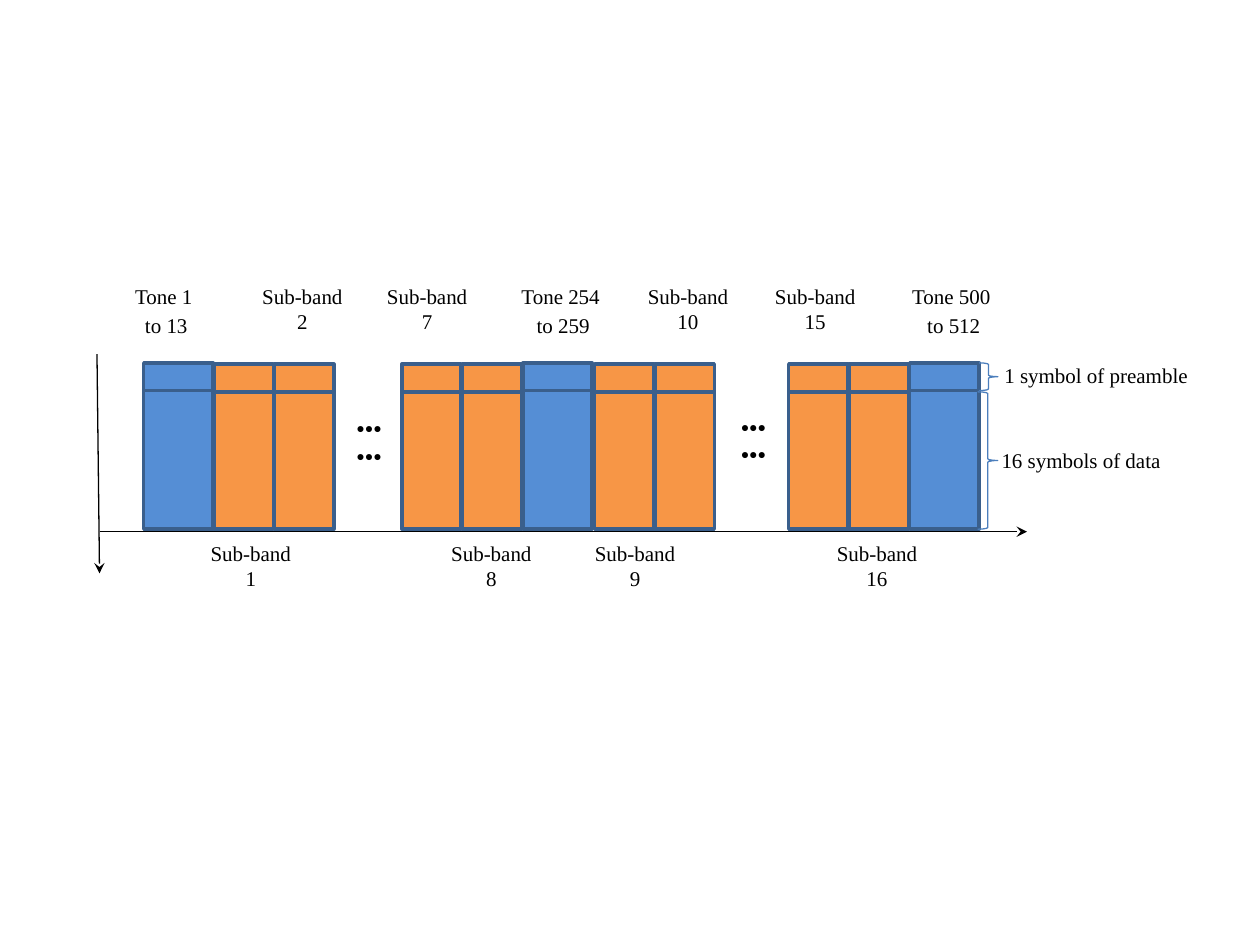
from pptx import Presentation
from pptx.dml.color import RGBColor
from pptx.enum.shapes import MSO_CONNECTOR, MSO_SHAPE
from pptx.enum.text import PP_ALIGN
from pptx.oxml.ns import qn
from pptx.util import Inches, Pt
from lxml.etree import SubElement

FONT = "Times New Roman"
BLACK, OUTLINE, BRACE = "000000", "3A5F8C", "4B7EBC"

# kind: fill, width, pitch, preamble top, data top, bottom
COLUMN_KINDS = {
    "tone": ("558ED5", 0.55, 0.56, 2.88, 3.1, 4.2),
    "band": ("F79646", 0.47, 0.48, 2.89, 3.11, 4.2),
}
GROUPS = [
    (1.14, ["tone", "band", "band"]),
    (3.19, ["band", "band", "tone"]),
    (4.72, ["band", "band"]),
    (6.26, ["band", "band", "tone"]),
]

# centre, lines
TONE_LABELS = [
    (1.3, ["Tone 1", "to 13"]),
    (4.45, ["Tone 254", "to 259"]),
    (7.55, ["Tone 500", "to 512"]),
]
# centre, number
UPPER_BANDS = [(2.4, 2), (3.39, 7), (5.46, 10), (6.47, 15)]
LOWER_BANDS = [(1.99, 1), (3.9, 8), (5.04, 9), (6.96, 16)]
# centre, top of the upper row
DOTS = [(2.93, 3.28), (5.98, 3.27)]
DOT_ROW_GAP = 0.22
# centre, top, text
BRACE_LABELS = [(8.7, 2.83, "1 symbol of preamble"), (8.58, 3.5, "16 symbols of data")]
# left, top, width, height
BRACES = [(7.76, 3.11, 0.16, 1.09), (7.77, 2.88, 0.15, 0.22)]
# start, end
AXES = [((0.79, 4.22), (8.15, 4.22)), ((0.77, 2.81), (0.79, 4.55))]


def color(value):
    return RGBColor.from_string(value)


def add_axis(slide, start, end):
    points = [Inches(value) for value in (*start, *end)]
    axis = slide.shapes.add_connector(MSO_CONNECTOR.STRAIGHT, *points)
    axis.line.color.rgb = color(BLACK)
    axis.line.width = Pt(0.75)
    SubElement(axis.line._get_or_add_ln(), qn("a:tailEnd"), type="stealth")
    SubElement(axis._element.spPr, qn("a:effectLst"))


def add_shape(slide, preset, frame, line, line_width, fill=None):
    shape = slide.shapes.add_shape(preset, *[Inches(value) for value in frame])
    shape.shadow.inherit = False
    shape.line.color.rgb = color(line)
    shape.line.width = Pt(line_width)
    if fill:
        shape.fill.solid()
        shape.fill.fore_color.rgb = color(fill)
    else:
        shape.fill.background()


def add_label(slide, center, top, width, height, lines, size=12):
    box = slide.shapes.add_textbox(
        Inches(center - width / 2), Inches(top), Inches(width), Inches(height))
    frame = box.text_frame
    frame.word_wrap = True
    for index, text in enumerate(lines):
        para = frame.paragraphs[0] if index == 0 else frame.add_paragraph()
        para.alignment = PP_ALIGN.CENTER
        if index:
            para.space_before = Pt(size * 0.2)
            para._p.get_or_add_pPr().set("marL", str(Inches(0.04)))
        span = para.add_run()
        span.text = text
        for name, value in {"name": FONT, "size": Pt(size)}.items():
            setattr(span.font, name, value)
        span.font.color.rgb = color(BLACK)


def add_columns(slide, part):
    """Draw one part, "data" or "preamble", of every column."""
    for left, kinds in GROUPS:
        for kind in kinds:
            fill, width, pitch, preamble_top, data_top, bottom = COLUMN_KINDS[kind]
            top, end = (data_top, bottom) if part == "data" else (preamble_top, data_top)
            add_shape(slide, MSO_SHAPE.RECTANGLE, (left, top, width, end - top),
                      OUTLINE, 2, fill)
            left += pitch


def main():
    deck = Presentation()
    deck.slide_width, deck.slide_height = Inches(10), Inches(7.5)
    slide = deck.slides.add_slide(deck.slide_layouts[6])

    for start, end in AXES:
        add_axis(slide, start, end)
    for part in ("data", "preamble"):
        add_columns(slide, part)
    for center, top in DOTS:
        for row in range(2):
            add_label(slide, center, top + row * DOT_ROW_GAP, 1.02, 0.29, ["●●●"], 8)
    for center, lines in TONE_LABELS:
        add_label(slide, center, 2.2, 1.1, 0.61, lines)
    for top, bands in ((2.2, UPPER_BANDS), (4.24, LOWER_BANDS)):
        for center, number in bands:
            add_label(slide, center, top, 0.91, 0.38, [f"Sub-band {number}"])
    for center, top, text in BRACE_LABELS:
        add_label(slide, center, top, 1.78, 0.38, [text])
    for frame in BRACES:
        add_shape(slide, MSO_SHAPE.RIGHT_BRACE, frame, BRACE, 0.75)

    deck.save("out.pptx")


if __name__ == "__main__":
    main()
